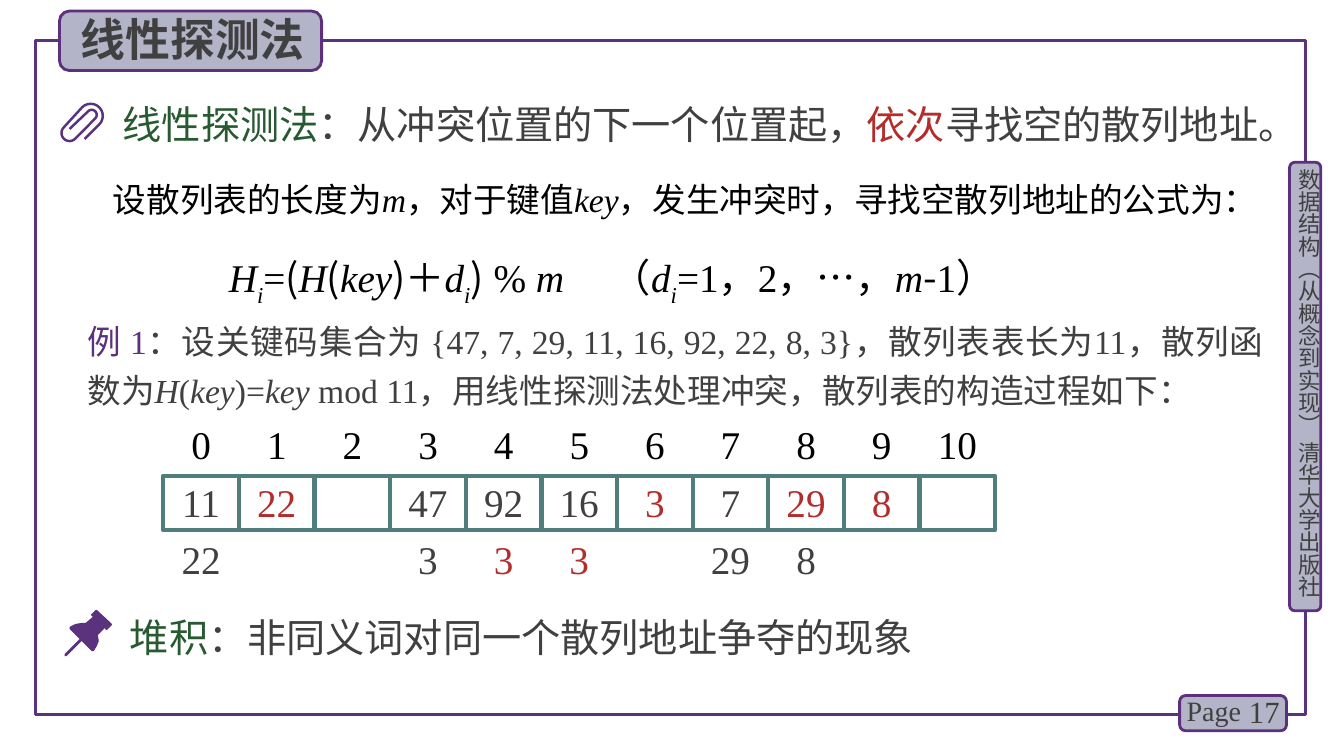
"""Build the slide on linear probing in hash tables."""
import math

from pptx import Presentation
from pptx.dml.color import RGBColor
from pptx.enum import shapes, text
from pptx.oxml import ns, xmlchemy
from pptx.util import Inches, Pt

SANS, SERIF = "Noto Sans CJK SC", "Times New Roman"
BLACK = RGBColor(0x00, 0x00, 0x00)
GREY = RGBColor(0x40, 0x40, 0x40)
PURPLE = RGBColor(0x5A, 0x32, 0x7D)
VIOLET = RGBColor(0x5C, 0x30, 0x7D)
LILAC = RGBColor(0xB4, 0xB4, 0xC8)
GREEN = RGBColor(0x28, 0x5A, 0x32)
RED = RGBColor(0xB4, 0x2D, 0x2D)
TEAL = RGBColor(0x50, 0x7D, 0x7D)
LEFT, CENTER, RIGHT, JUSTIFY = (text.PP_ALIGN.LEFT, text.PP_ALIGN.CENTER,
                                text.PP_ALIGN.RIGHT, text.PP_ALIGN.JUSTIFY)
TOP, MIDDLE = text.MSO_ANCHOR.TOP, text.MSO_ANCHOR.MIDDLE
RECT, ROUND = shapes.MSO_SHAPE.RECTANGLE, shapes.MSO_SHAPE.ROUNDED_RECTANGLE

prs = Presentation()
prs.slide_width, prs.slide_height = Inches(13.33), Inches(7.5)
s = prs.slides.add_slide(prs.slide_layouts[5])


def write(runs, at, size=28, font=SERIF, color=GREY, bold=False, align=LEFT,
          anchor=TOP, inset=(0.1, 0.05), spacing=None, tabs=(), box=None):
    """Write runs, each a text with its own format, into a box."""
    sp = box or s.shapes.add_textbox(0, 0, 0, 0)
    sp.left, sp.top, sp.width, sp.height = map(Inches, at)
    tf = sp.text_frame
    tf.word_wrap, tf.vertical_anchor = True, anchor
    tf.auto_size = text.MSO_AUTO_SIZE.NONE
    tf.margin_left = tf.margin_right = Inches(inset[0])
    tf.margin_top = tf.margin_bottom = Inches(inset[1])
    p = tf.paragraphs[0]
    if tabs:
        tab_list = xmlchemy.OxmlElement("a:tabLst")
        for pos, kind in tabs:
            tab = xmlchemy.OxmlElement("a:tab")
            tab.set("pos", str(Inches(pos)))
            tab.set("algn", kind)
            tab_list.append(tab)
        p._p.get_or_add_pPr().append(tab_list)
    p.alignment, p.line_spacing = align, spacing
    for words, style in runs:
        r = p.add_run()
        r.text = words
        f = r.font
        f.size, f.bold = Pt(size), bold
        f.italic = style.get("italic", False)
        f.name = style.get("font", font)
        f.color.rgb = style.get("color", color)
        ea = xmlchemy.OxmlElement("a:ea")
        ea.set("typeface", SANS)
        r._r.get_or_add_rPr().append(ea)
        if "base" in style:
            r._r.get_or_add_rPr().set("baseline", style["base"])
    return sp


def draw(kind, at, line, width, fill=None):
    """Draw a preset shape with an outline."""
    sp = s.shapes.add_shape(kind, *map(Inches, at))
    sp.shadow.inherit = False
    sp.line.color.rgb, sp.line.width = line, Pt(width)
    if fill is None:
        sp.fill.background()
    else:
        sp.fill.solid()
        sp.fill.fore_color.rgb = fill
    return sp


PLAIN, ITALIC, CJK = {}, {"italic": True}, {"font": SANS}
SUB = {"italic": True, "base": "-30000"}

draw(RECT, (0.35, 0.4, 12.6, 6.69), PURPLE, 2.25)
for at in ((12.79, 1.61, 0.31, 4.45), (11.7, 6.9, 1.06, 0.35), (0.59, 0.11, 2.6, 0.59)):
    label = draw(ROUND, at, VIOLET, 2, LILAC)

title = s.shapes.title
label.element.addnext(title.element)
write([("线性探测法", PLAIN)], (0.7, 0.07, 2.65, 0.64), size=32, font=SANS,
      bold=True, box=title)
side = write([("数据结构（从概念到实现） 清华大学出版社", PLAIN)],
             (12.85, 1.67, 0.27, 4.49), size=16, font=SANS, inset=(0, 0))
side.element.find(".//" + ns.qn("a:bodyPr")).set("vert", "eaVert")
write([("17", PLAIN)], (12.2, 6.86, 0.59, 0.4), size=22, align=RIGHT, anchor=MIDDLE)
write([("Page", PLAIN)], (11.67, 6.83, 0.78, 0.44), size=20)

write([("线性探测法", {"color": GREEN}), ("：从冲突位置的下一个位置起，", PLAIN),
       ("依次", {"color": RED}), ("寻找空的散列地址。", PLAIN)],
      (1.12, 0.95, 12.16, 0.57), font=SANS)
write([("设散列表的长度为", PLAIN), ("m", ITALIC), ("，对于键值", PLAIN), ("key", ITALIC),
       ("，发生冲突时，寻找空散列地址的公式为：", PLAIN)],
      (1.12, 1.65, 11.51, 0.59), size=24, color=BLACK, align=JUSTIFY,
      inset=(0, 0.05), spacing=1.2)
write([("H", ITALIC), ("i", SUB), ("=", PLAIN), ("(", CJK), ("H", ITALIC), ("(", CJK),
       ("key", ITALIC), (")＋", CJK), ("d", ITALIC), ("i", SUB), (")", CJK),
       (" % ", PLAIN), ("m", ITALIC), ("\t", PLAIN), ("（", CJK), ("d", ITALIC),
       ("i", SUB), ("=1", PLAIN), ("，", CJK), ("2", PLAIN), ("，", CJK), ("…", PLAIN),
       ("，", CJK), ("m", ITALIC), ("-", CJK), ("1", PLAIN), ("）", CJK)],
      (2.27, 2.35, 8.83, 0.67), color=BLACK, align=JUSTIFY, inset=(0, 0.05),
      spacing=1.2, tabs=[(3.8, "l")])
write([("例 1", {"color": VIOLET}),
       ("：设关键码集合为 {47, 7, 29, 11, 16, 92, 22, 8, 3}，散列表表长为11，散列函数为", PLAIN),
       ("H", ITALIC), ("(", PLAIN), ("key", ITALIC), (")=", PLAIN), ("key", ITALIC),
       (" mod 11，用线性探测法处理冲突，散列表的构造过程如下：", PLAIN)],
      (0.77, 3.05, 11.86, 1.04), size=24, align=JUSTIFY, spacing=Pt(35))

CELL, TABLE_LEFT, SLOTS = 0.75, 1.62, 11
centers = [CELL * (i + 0.5) for i in range(SLOTS)]
for i in range(SLOTS):
    draw(RECT, (TABLE_LEFT + CELL * i, 4.72, CELL, 0.54), TEAL, 3)
write([("".join(f"\t{i}" for i in range(SLOTS)), PLAIN)],
      (TABLE_LEFT, 4.17, CELL * SLOTS + 0.2, 0.47), color=BLACK, inset=(0, 0),
      tabs=[(c, "ctr") for c in centers])

stored = {0: "11", 1: "22", 3: "47", 4: "92", 5: "16", 6: "3", 7: "7", 8: "29", 9: "8"}
collided = {0: "22", 3: "3", 4: "3", 5: "3", 7: "29", 8: "8"}
for top, keys, moved in ((4.75, stored, {1, 6, 8, 9}), (5.31, collided, {4, 5})):
    for slot, key in keys.items():
        write([(key, PLAIN)], (TABLE_LEFT + centers[slot] - 0.25, top, 0.5, 0.47),
              color=RED if slot in moved else GREY, align=CENTER, inset=(0, 0))

write([("堆积", {"color": GREEN}), ("：非同义词对同一个散列地址争夺的现象", PLAIN)],
      (1.19, 6.04, 8.31, 0.57), font=SANS)

clip = [(0.84, 1.38)]
for x, y, radius, start in ((0.9, 1.15, 0.12, 45), (0.69, 1.32, 0.08, 225),
                            (0.91, 1.14, 0.05, 45)):
    for step in range(13):
        angle = math.radians(start - 15 * step)
        clip.append((x + radius * math.cos(angle), y + radius * math.sin(angle)))
clip.append((0.69, 1.28))
pin_head = [(1.11, 6.19), (0.96, 6.05), (0.95, 6.05), (0.9, 6.1), (0.92, 6.12),
            (0.85, 6.18), (0.81, 6.18), (0.75, 6.19), (0.69, 6.22), (0.69, 6.24),
            (0.91, 6.46), (0.93, 6.46), (0.96, 6.41), (0.98, 6.36), (0.97, 6.3),
            (1.04, 6.23), (1.05, 6.25), (1.06, 6.25), (1.11, 6.2)]
needle = [(0.66, 6.51), (0.64, 6.51), (0.64, 6.49), (0.8, 6.33), (0.82, 6.33), (0.82, 6.35)]
for points, closed in ((clip, False), (pin_head, True), (needle, True)):
    outline = [(Inches(x), Inches(y)) for x, y in points]
    builder = s.shapes.build_freeform(*outline[0])
    builder.add_line_segments(outline[1:], close=closed)
    sp = builder.convert_to_shape()
    sp.shadow.inherit = False
    if closed:
        sp.fill.solid()
        sp.fill.fore_color.rgb = PURPLE
        sp.line.fill.background()
    else:
        sp.fill.background()
        sp.line.color.rgb, sp.line.width = PURPLE, Pt(1.75)

prs.save("out.pptx")
